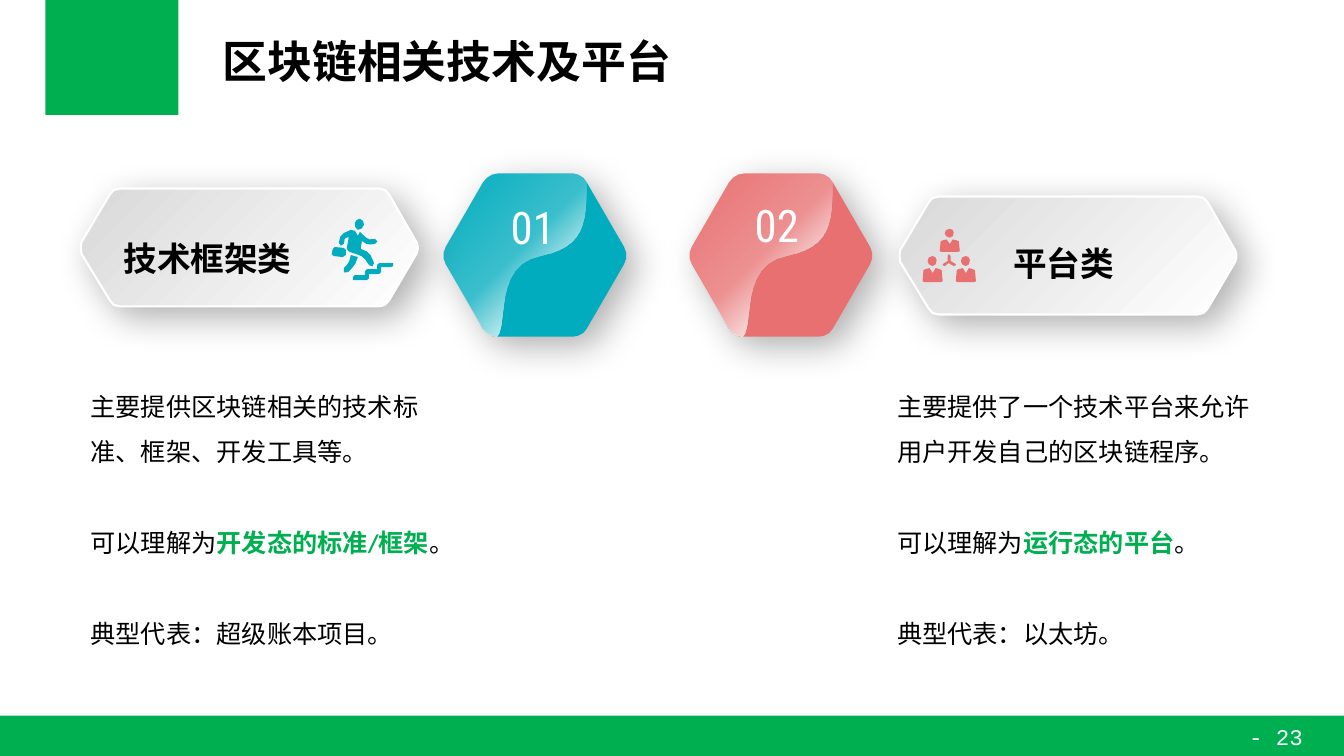
"""Build the slide on blockchain technologies and platforms on a grid of 0.01 inch cells."""
from math import dist

from pptx import Presentation
from pptx.dml.color import RGBColor
from pptx.enum.shapes import MSO_SHAPE as SHAPE
from pptx.enum.text import MSO_ANCHOR as ANCHOR, PP_ALIGN as ALIGN
from pptx.oxml import parse_xml
from pptx.oxml.ns import nsdecls, qn
from pptx.util import Inches, Pt

CELL = Inches(0.01)
COLS, ROWS = 1333, 750
BAR_TOP = 710
GREEN = RGBColor(0x00, 0xB0, 0x50)
TEAL = RGBColor(0x01, 0xAC, 0xBE)
CORAL = RGBColor(0xE8, 0x70, 0x71)
BLACK = RGBColor(0, 0, 0)
WHITE = RGBColor(0xFF, 0xFF, 0xFF)
CJK = "Noto Sans CJK SC"

HEXAGON = """M 494 334 C 488 334 482 331 479 326 L 442 262 C 439 257 439 250 442 245
L 479 181 C 482 176 488 172 494 172 L 568 172 C 573 172 580 176 582 181
L 619 245 C 622 250 622 257 619 262 L 582 326 C 580 331 573 334 568 334"""
GLOSS = """M 493 334 C 488 334 481 331 479 326 L 441 262 C 439 257 439 250 441 245
L 479 181 C 481 176 488 172 493 172 L 567 172 C 573 172 579 176 582 181
C 582 221 580 245 537 254 C 489 262 505 324 493 334"""
CAPSULE = """M 119 187 L 376 187 C 380 187 384 189 386 193 L 413 240 C 415 243 415 248 413 252
L 386 298 C 384 302 380 304 376 304 L 119 304 C 115 304 110 302 109 298
L 81 252 C 80 248 80 243 81 240 L 109 193 C 110 189 115 187 119 187"""
STAIRS = """M 352 273 L 362 273 L 362 269 L 364 267 L 374 267 L 374 263 L 376 261 L 390 261
L 390 264 L 388 265 L 378 265 L 378 270 L 376 272 L 366 272 L 366 276 L 364 278 L 350 278
L 350 275 L 352 273"""
RUNNER = """M 331 254 L 340 255 L 343 253 L 343 248 L 341 246 L 332 245 L 330 247 L 329 252 L 331 254
M 341 266 C 346 261 346 261 348 253 L 355 255 C 352 264 351 264 345 270 C 343 273 338 269 341 266
M 357 217 C 360 218 361 220 361 223 C 360 226 358 228 355 228 C 353 227 351 224 352 221
C 352 219 355 217 357 217
M 357 230 L 359 232 C 366 238 364 238 372 237 C 375 237 375 242 372 242
C 365 243 364 243 359 239 L 358 245 L 358 247 C 366 250 367 250 371 261
C 372 264 367 266 366 263 C 360 253 359 254 347 250 C 345 249 344 248 344 246 L 346 235
C 341 236 342 236 341 242 C 340 245 336 244 336 241 C 337 232 339 232 348 228
L 352 229 L 355 234 L 357 230"""
PERSON = """M 925 254 C 922 254 920 256 920 259 C 920 261 922 264 925 264
C 927 264 930 261 929 258 C 929 256 927 254 925 254
M 925 271 L 928 266 L 932 267 L 934 268 L 935 279 L 933 280 L 917 280 L 915 279 L 916 268
L 918 267 L 922 266 L 925 271"""
LINKS = """M 940 254 L 941 252 L 943 254 L 943 259 L 948 262 L 948 263 L 946 264 L 941 261
L 937 264 L 935 263 L 935 262 L 940 259 L 940 254"""


def draw(outline, color=None, stops=(), dx=0, dy=0, shadow=False):
    """Draw an outline of M, L and C commands with a solid or gradient fill."""
    fb = None
    for command in outline.replace("M", "|M").replace("L", "|L").replace("C", "|C").split("|")[1:]:
        nums = [int(n) for n in command[1:].split()]
        pts = [((x + dx) * CELL, (y + dy) * CELL) for x, y in zip(nums[::2], nums[1::2])]
        if command[0] == "C":
            ctrl = [pen, *pts]
            pts = []
            steps = 1 + round(dist(ctrl[0], ctrl[3]) / (8 * CELL))
            for i in range(1, steps + 1):
                t = i / steps
                weights = (1 - t) ** 3, 3 * t * (1 - t) ** 2, 3 * t * t * (1 - t), t ** 3
                pts.append(tuple(sum(w * c[axis] for w, c in zip(weights, ctrl)) for axis in (0, 1)))
        if fb is None:
            fb = shapes.build_freeform(*pts[0], scale=1.0)
        elif command[0] == "M":
            fb.move_to(*pts[0])
        else:
            fb.add_line_segments(pts, close=False)
        pen = pts[-1]
    s = fb.convert_to_shape()
    s.shadow.inherit = False
    s.line.fill.background()
    if stops:
        s.fill.gradient()
        s.fill.gradient_angle = 315
        gs_list = s._element.spPr.find(qn("a:gradFill")).find(qn("a:gsLst"))
        gs_list.clear()
        for pos, rgb, alpha in stops:
            gs_list.append(parse_xml(
                f'<a:gs {nsdecls("a")} pos="{pos * 1000}"><a:srgbClr val="{rgb}">'
                f'<a:alpha val="{alpha * 1000}"/></a:srgbClr></a:gs>'))
    else:
        s.fill.solid()
        s.fill.fore_color.rgb = color
    if shadow:
        s._element.spPr.find(qn("a:effectLst")).append(parse_xml(
            f'<a:outerShdw {nsdecls("a")} blurRad="{Pt(26)}" dist="{Pt(10)}" dir="2700000" '
            'algn="tl" rotWithShape="0"><a:srgbClr val="000000"><a:alpha val="31000"/>'
            '</a:srgbClr></a:outerShdw>'))
    return s


def write(box, paragraphs, size, font, color=BLACK, bold=False, align=ALIGN.LEFT,
          spacing=1.0, gap=0, anchor=ANCHOR.TOP):
    """Write paragraphs of (text, highlighted) runs into a text box."""
    tf = shapes.add_textbox(*(n * CELL for n in box)).text_frame
    tf.word_wrap = True
    tf.vertical_anchor = anchor
    for i, runs in enumerate(paragraphs):
        p = tf.add_paragraph() if i else tf.paragraphs[0]
        p.alignment = align
        p.line_spacing = spacing
        p.space_before = Pt(gap if i else 0)
        for text, highlighted in runs:
            r = p.add_run()
            r.text = text
            r.font.size = Pt(size)
            r.font.name = font
            r.font.bold = bold or highlighted
            r.font.color.rgb = GREEN if highlighted else color
            r._r.get_or_add_rPr().append(parse_xml(f'<a:ea {nsdecls("a")} typeface="{CJK}"/>'))


prs = Presentation()
prs.slide_width, prs.slide_height = COLS * CELL, ROWS * CELL
shapes = prs.slides.add_slide(prs.slide_layouts[6]).shapes

for block in ((45, 0, 132, 114), (0, BAR_TOP, COLS, ROWS - BAR_TOP)):
    s = shapes.add_shape(SHAPE.RECTANGLE, *(n * CELL for n in block))
    s.shadow.inherit = False
    s.fill.solid()
    s.fill.fore_color.rgb = GREEN
    s.line.fill.background()
write((1218, 712, 95, 37), [[("- 23", False)]], 16, "Courier New", WHITE, align=ALIGN.CENTER)
write((211, 24, 1049, 78), [[("区块链相关技术及平台", False)]], 32, "Arial", bold=True,
      spacing=0.9, anchor=ANCHOR.MIDDLE)

SILVER = ((0, "D9D9D9", 100), (100, "FFFFFF", 100))
SHEEN = ((0, "FFFFFF", 0), (50, "FFFFFF", 23), (74, "FFFFFF", 80))
categories = [
    ("01", (488, 193, 81, 64), TEAL, 0, (0, 0), "技术框架类", (98, 219, 201, 57), ALIGN.RIGHT,
     (80, 368, 359, 283), "主要提供区块链相关的技术标准、框架、开发工具等。",
     "开发态的标准/框架", "典型代表：超级账本项目。"),
    ("02", (730, 191, 81, 64), CORAL, 244, (812, 8), "平台类", (995, 224, 201, 57), ALIGN.JUSTIFY,
     (880, 368, 374, 283), "主要提供了一个技术平台来允许用户开发自己的区块链程序。",
     "运行态的平台", "典型代表：以太坊。"),
]
for (number, number_box, color, hex_dx, (cap_dx, cap_dy), label, label_box, align,
     body_box, summary, stage, example) in categories:
    draw(HEXAGON, color, dx=hex_dx, shadow=True)
    s = draw(CAPSULE, stops=SILVER, dx=cap_dx, dy=cap_dy, shadow=True)
    s.line.color.rgb = WHITE
    s.line.width = Pt(1.5)
    write(label_box, [[(label, False)]], 24, CJK, bold=True, align=align, spacing=1.3)
    draw(GLOSS, stops=SHEEN, dx=hex_dx)
    write(number_box, [[(number, False)]], 32, "Roboto Condensed", WHITE, align=ALIGN.CENTER)
    write(body_box, [[(summary, False)],
                     [("可以理解为", False), (stage, True), ("。", False)],
                     [(example, False)]], 18, "Calibri", spacing=1.5, gap=32.5)

shapes.add_group_shape([draw(STAIRS, TEAL), draw(RUNNER, TEAL)])
leader = draw(PERSON, CORAL, dx=17, dy=-27)
leader.height = 23 * CELL
shapes.add_group_shape([leader, draw(PERSON, CORAL), draw(LINKS, CORAL), draw(PERSON, CORAL, dx=33)])

prs.save("out.pptx")
